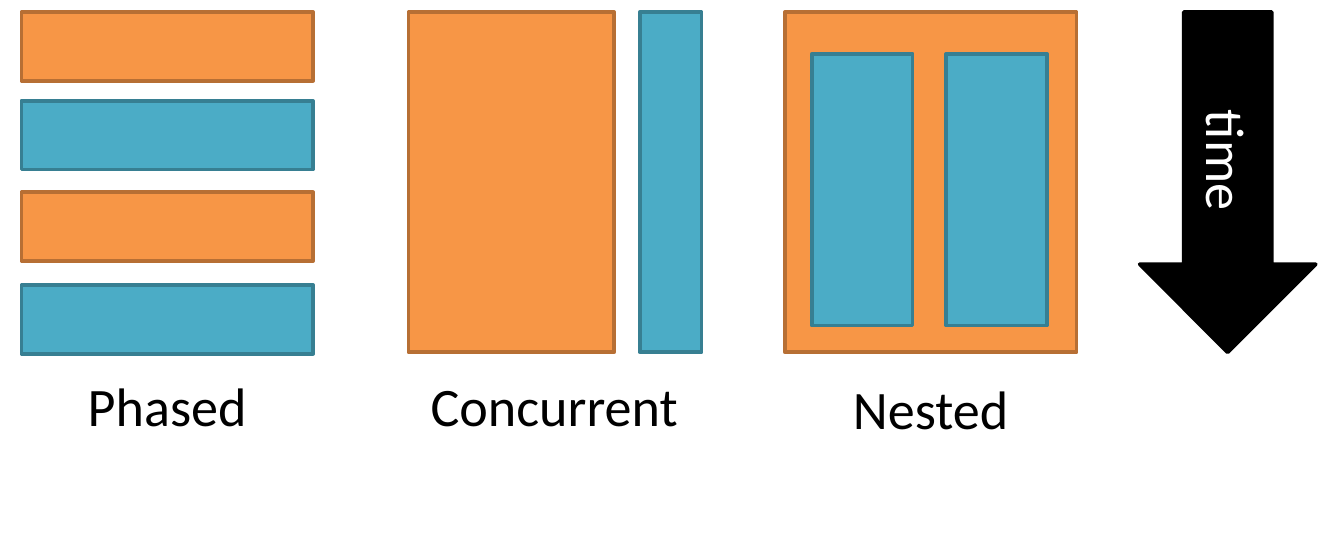
import pptx
import pptx.dml.color
import pptx.enum.shapes
import pptx.enum.text
import pptx.util

Inches = pptx.util.Inches
RGBColor = pptx.dml.color.RGBColor
SHAPES = pptx.enum.shapes.MSO_SHAPE

ORANGE = RGBColor(0xF7, 0x96, 0x46)
ORANGE_EDGE = RGBColor(0xB7, 0x6F, 0x34)
BLUE = RGBColor(0x4B, 0xAC, 0xC6)
BLUE_EDGE = RGBColor(0x37, 0x7F, 0x92)
BLACK = RGBColor(0, 0, 0)
WHITE = RGBColor(0xFF, 0xFF, 0xFF)
EDGES = {ORANGE: ORANGE_EDGE, BLUE: BLUE_EDGE, BLACK: BLACK}

TOP, HEIGHT, COLUMN_WIDTH = 0.09, 2.53, 2.17
PHASED, CONCURRENT, NESTED = 0.16, 3.04, 5.84

deck = pptx.Presentation()
deck.slide_width = Inches(10)
deck.slide_height = Inches(4)
page = deck.slides.add_slide(deck.slide_layouts[6])


def add_block(left, top, width, height, color, kind=SHAPES.RECTANGLE):
    """Add a filled shape with the edge that belongs to its colour."""
    block = page.shapes.add_shape(
        kind, Inches(left), Inches(top), Inches(width), Inches(height))
    block.shadow.inherit = False
    block.fill.solid()
    block.fill.fore_color.rgb = color
    block.line.color.rgb = EDGES[color]
    block.line.width = pptx.util.Pt(2)
    return block


def write_text(box, text, color=BLACK, anchor=pptx.enum.text.MSO_ANCHOR.TOP):
    """Put one centred line of text in a shape or text box."""
    frame = box.text_frame
    frame.word_wrap = True
    frame.vertical_anchor = anchor
    para = frame.paragraphs[0]
    para.alignment = pptx.enum.text.PP_ALIGN.CENTER
    span = para.add_run()
    span.text = text
    span.font.name = "Calibri"
    span.font.size = pptx.util.Pt(29)
    span.font.color.rgb = color


# Phased: the two tasks alternate
for bar_top, bar_color in zip((TOP, 0.75, 1.43, 2.12), (ORANGE, BLUE) * 2):
    add_block(PHASED, bar_top, COLUMN_WIDTH, 0.51, bar_color)

# Concurrent: the two tasks run side by side
add_block(CONCURRENT, TOP, 1.53, HEIGHT, ORANGE)
add_block(4.76, TOP, 0.46, HEIGHT, BLUE)

# Nested: one task runs inside the other
add_block(NESTED, TOP, COLUMN_WIDTH, HEIGHT, ORANGE)
for inner_left in (6.04, 7.04):
    add_block(inner_left, 0.4, 0.75, 2.02, BLUE)

time_arrow = add_block(8.48, TOP, 1.31, HEIGHT, BLACK, SHAPES.DOWN_ARROW)
write_text(time_arrow, "time", color=WHITE,
           anchor=pptx.enum.text.MSO_ANCHOR.MIDDLE)
time_arrow.element.txBody.bodyPr.set("vert", "vert")

for name, left, top in (("Phased", PHASED, 2.72),
                        ("Concurrent", CONCURRENT, 2.72),
                        ("Nested", NESTED, 2.74)):
    label = page.shapes.add_textbox(
        Inches(left), Inches(top), Inches(COLUMN_WIDTH), Inches(0.93))
    write_text(label, name)

deck.save("out.pptx")
